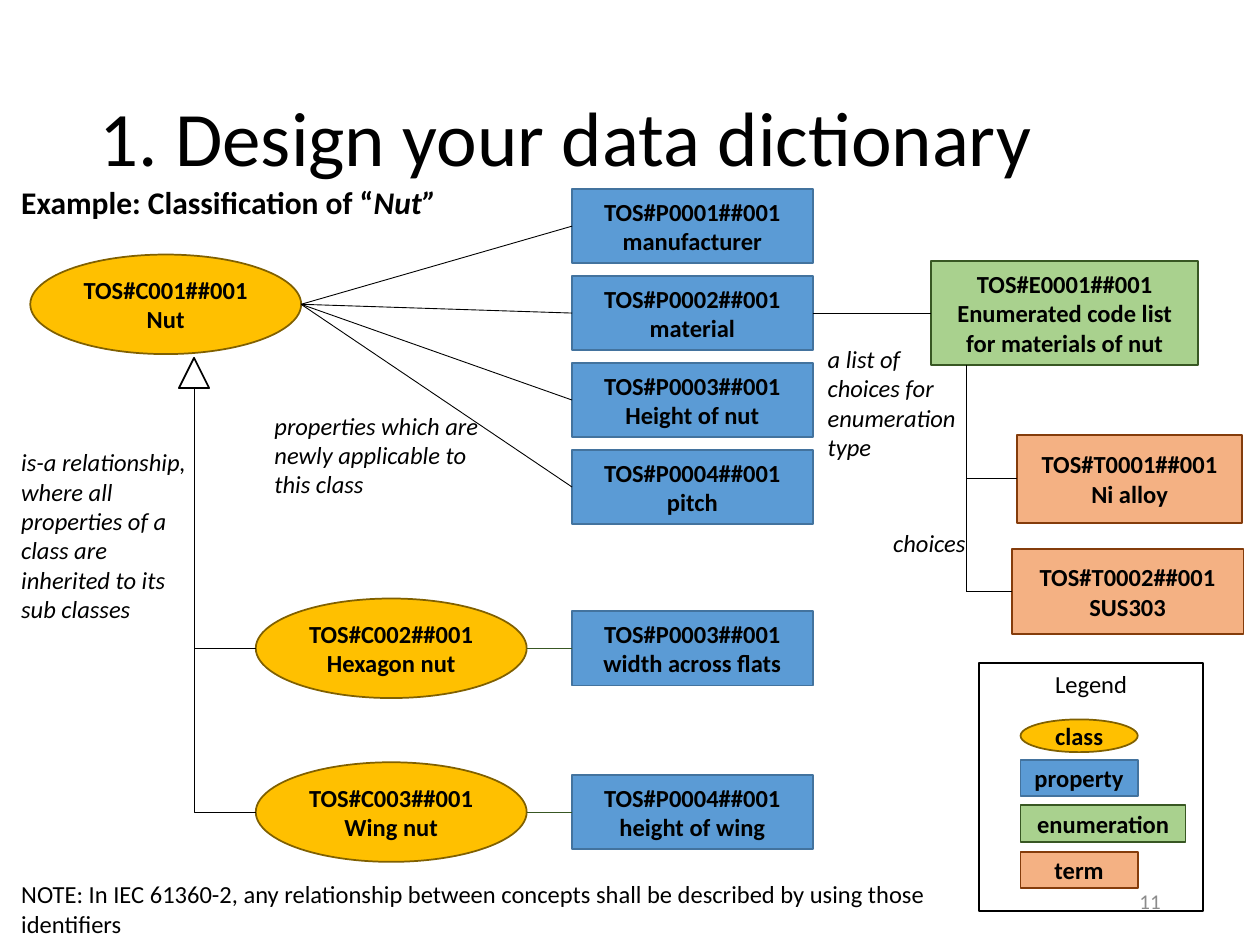
from pptx import Presentation
from pptx import util as u
from pptx.dml.color import RGBColor
from pptx.enum import shapes, text
from pptx.oxml import ns, xmlchemy

THEME = {
    "font": "Calibri", "ink": "000000", "paper": "FFFFFF", "muted": "8C8C8C",
    "title": 44, "heading": 18, "body": 14, "number": 12,
    "thin": 0.5, "outline": 1,
    "class": ("FFC000", "806000"),
    "property": ("5B9BD5", "43739E"),
    "enumeration": ("A9D18E", "385723"),
    "term": ("F4B183", "843C0B"),
    "plain": ("FFFFFF", "000000"),
}

TITLE = "1. Design your data dictionary"
CLASSES = [
    (0.24, 2.02, "TOS#C001##001", "Nut"),
    (2.03, 4.75, "TOS#C002##001", "Hexagon nut"),
    (2.03, 6.05, "TOS#C003##001", "Wing nut"),
]
NUT_PROPERTIES = [
    ("TOS#P0001##001", "manufacturer"),
    ("TOS#P0002##001", "material"),
    ("TOS#P0003##001", "Height of nut"),
    ("TOS#P0004##001", "pitch"),
]
SUB_PROPERTIES = [
    ("TOS#P0003##001", "width across flats"),
    ("TOS#P0004##001", "height of wing"),
]
ENUMERATION = ("TOS#E0001##001", "Enumerated code list", "for materials of nut")
TERMS = [
    ((8.07, 3.45, 1.79, 0.7), ("TOS#T0001##001", "Ni alloy")),
    ((8.03, 4.36, 1.84, 0.67), ("TOS#T0002##001", "SUS303")),
]
LEGEND = [
    ("class", 5.71, 0.93, 0.26),
    ("property", 6.03, 0.93, 0.29),
    ("enumeration", 6.39, 1.31, 0.29),
    ("term", 6.76, 0.93, 0.29),
]
NOTES = [
    ((0.07, 3.5, 1.56, 1.51), "is-a relationship, where all properties of a class are inherited to its sub classes", True),
    ((2.08, 3.21, 1.93, 0.81), "properties which are newly applicable to this class", True),
    ((6.47, 2.68, 1.22, 1.04), "a list of choices for enumeration type", True),
    ((6.99, 4.14, 0.78, 0.34), "choices", True),
    ((0.07, 6.93, 7.59, 0.57), "NOTE: In IEC 61360-2, any relationship between concepts shall be described by using those identifiers", False),
]
HEADING = [("Example: Classification of “", False), ("Nut”", True)]
CLASS_SIZE = (2.15, 0.79)
PROPERTY_LEFT, PROPERTY_TOP, PROPERTY_STEP = 4.54, 1.5, 0.69
PROPERTY_SIZE = (1.91, 0.59)
ENUM_BOX = (7.39, 2.07, 2.12, 0.83)
ARROW_BOX = (1.42, 2.84, 0.24, 0.24)
TERM_TRUNK = 7.67


def inches(values):
    return [u.Inches(v) for v in values]


def add_run(p, words, size="body", color="ink", bold=False, italic=False):
    r = p.add_run()
    r.text = words
    r.font.name = THEME["font"]
    r.font.size = u.Pt(THEME[size])
    r.font.color.rgb = RGBColor.from_string(THEME[color])
    r.font.bold = bold
    r.font.italic = italic


def add_box(s, box, kind, lines=(), preset=shapes.MSO_SHAPE.RECTANGLE,
            anchor=text.MSO_ANCHOR.MIDDLE, bold=True):
    sp = s.shapes.add_shape(preset, *inches(box))
    sp.shadow.inherit = False
    fill, line = THEME[kind]
    sp.fill.solid()
    sp.fill.fore_color.rgb = RGBColor.from_string(fill)
    sp.line.color.rgb = RGBColor.from_string(line)
    sp.line.width = u.Pt(THEME["outline"])
    tf = sp.text_frame
    tf.word_wrap = True
    tf.vertical_anchor = anchor
    for i, words in enumerate(lines):
        p = tf.add_paragraph() if i else tf.paragraphs[0]
        p.alignment = text.PP_ALIGN.CENTER
        add_run(p, words, bold=bold)
    return box


def add_label(s, box, wrap=True, grow=True):
    tf = s.shapes.add_textbox(*inches(box)).text_frame
    tf.word_wrap = wrap
    if grow:
        tf.auto_size = text.MSO_AUTO_SIZE.SHAPE_TO_FIT_TEXT
    return tf


def add_line(s, start, end, color=THEME["ink"], bent=False):
    kind = shapes.MSO_CONNECTOR.ELBOW if bent else shapes.MSO_CONNECTOR.STRAIGHT
    sp = s.shapes.add_connector(kind, *inches(start + end))
    sp.line.color.rgb = RGBColor.from_string(color)
    sp.line.width = u.Pt(THEME["thin"])
    spPr = sp._element.spPr
    if bent:
        spPr.find(ns.qn("a:prstGeom")).set("prst", "bentConnector2")
    spPr.append(xmlchemy.OxmlElement("a:effectLst"))


def left(box):
    return box[0], box[1] + box[3] / 2


def right(box):
    return box[0] + box[2], box[1] + box[3] / 2


def main():
    prs = Presentation()
    prs.slide_width, prs.slide_height = inches((10, 7.5))
    s = prs.slides.add_slide(prs.slide_layouts[5])
    oval = shapes.MSO_SHAPE.OVAL

    add_box(s, (7.77, 5.26, 1.78, 1.97), "plain", ["Legend"],
            anchor=text.MSO_ANCHOR.TOP, bold=False)

    title = s.shapes.title
    title.left, title.top, title.width, title.height = inches((0.69, 0.4, 8.62, 1.45))
    tf = title.text_frame
    tf.vertical_anchor = text.MSO_ANCHOR.MIDDLE
    p = tf.paragraphs[0]
    p.alignment = text.PP_ALIGN.LEFT
    p.line_spacing = 0.9
    add_run(p, TITLE, "title")

    nut, *subclasses = [add_box(s, (x, y, *CLASS_SIZE), "class", lines, oval)
                        for x, y, *lines in CLASSES]
    arrow = add_box(s, ARROW_BOX, "plain", preset=shapes.MSO_SHAPE.ISOSCELES_TRIANGLE)
    arrow_base = (arrow[0] + arrow[2] / 2, arrow[1] + arrow[3])

    properties = [add_box(s, (PROPERTY_LEFT, PROPERTY_TOP + i * PROPERTY_STEP, *PROPERTY_SIZE),
                          "property", lines)
                  for i, lines in enumerate(NUT_PROPERTIES)]
    for box in properties:
        add_line(s, right(nut), left(box))

    for sub, lines in zip(subclasses, SUB_PROPERTIES):
        y = right(sub)[1] - PROPERTY_SIZE[1] / 2
        box = add_box(s, (PROPERTY_LEFT, y, *PROPERTY_SIZE), "property", lines)
        add_line(s, left(sub), arrow_base, bent=True)
        add_line(s, right(sub), left(box), THEME["enumeration"][1])

    enum_box = add_box(s, ENUM_BOX, "enumeration", ENUMERATION)
    add_line(s, right(properties[1]), left(enum_box))
    terms = [add_box(s, box, "term", lines) for box, lines in TERMS]
    for box in terms:
        add_line(s, (TERM_TRUNK, left(box)[1]), left(box))
    add_line(s, (TERM_TRUNK, enum_box[1] + enum_box[3]), (TERM_TRUNK, left(terms[-1])[1]))

    for kind, y, w, h in LEGEND:
        preset = oval if kind == "class" else shapes.MSO_SHAPE.RECTANGLE
        add_box(s, (8.1, y, w, h), kind, [kind], preset)

    for box, words, italic in NOTES:
        add_run(add_label(s, box).paragraphs[0], words, italic=italic)

    tf = add_label(s, (7.06, 6.95, 2.25, 0.4), grow=False)
    tf.vertical_anchor = text.MSO_ANCHOR.MIDDLE
    tf.paragraphs[0].alignment = text.PP_ALIGN.RIGHT
    add_run(tf.paragraphs[0], "11", "number", "muted")

    tf = add_label(s, (0.07, 1.4, 3.52, 0.4), wrap=False)
    for words, italic in HEADING:
        add_run(tf.paragraphs[0], words, "heading", bold=True, italic=italic)

    prs.save("out.pptx")


if __name__ == "__main__":
    main()
